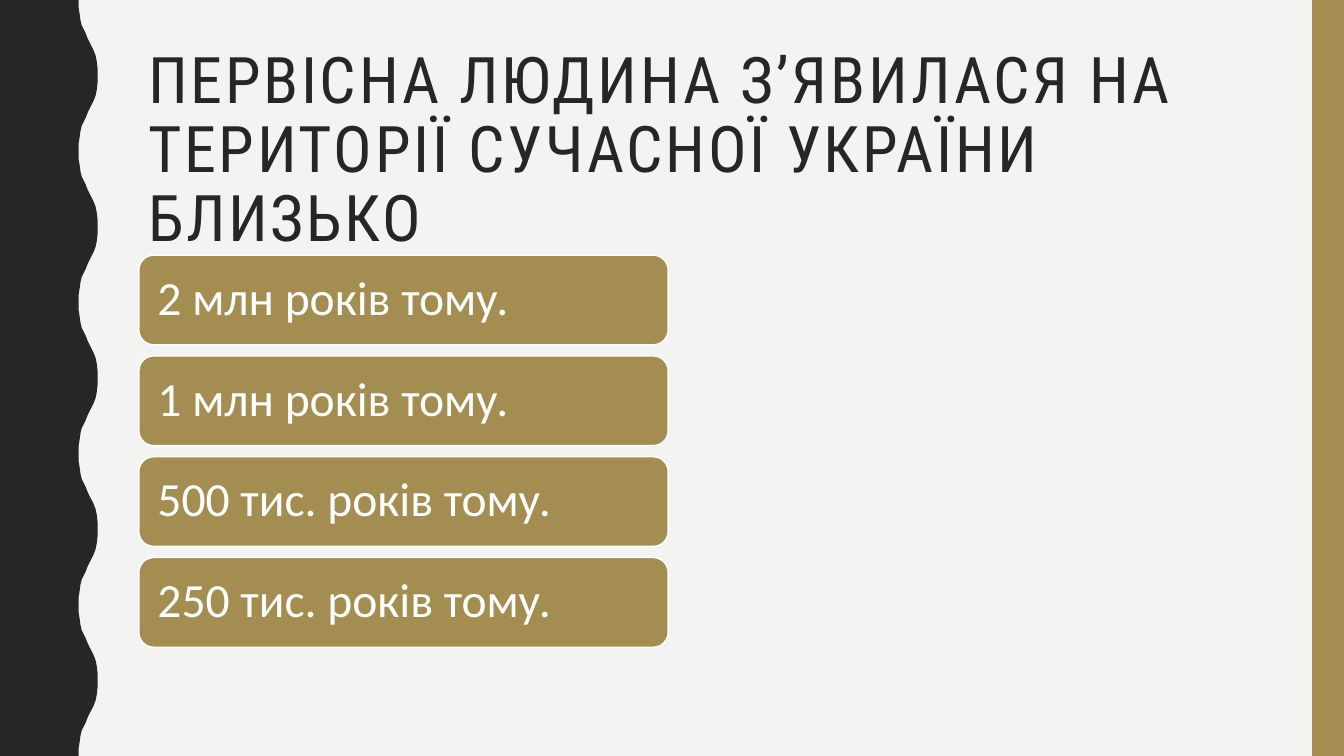
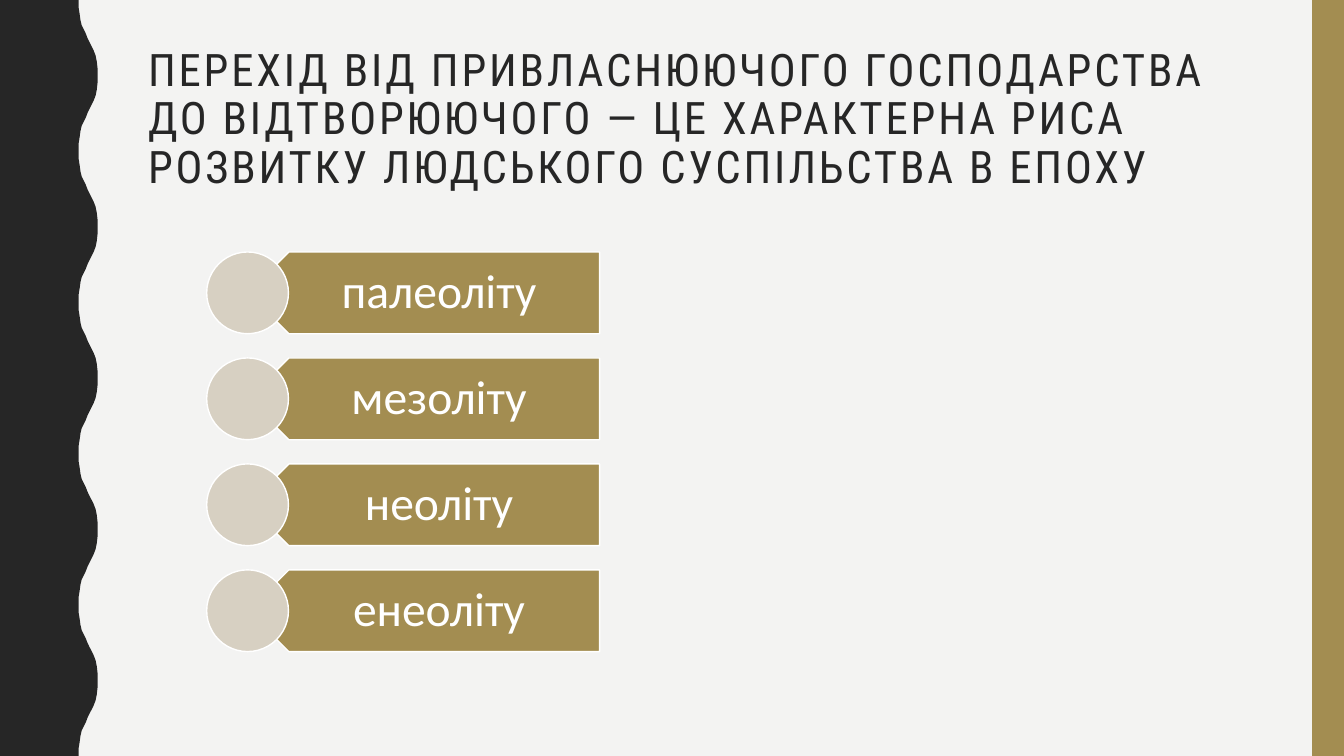
from pptx import Presentation
from pptx.dml.color import RGBColor
from pptx.enum.shapes import MSO_SHAPE
from pptx.enum.text import MSO_ANCHOR, MSO_AUTO_SIZE, PP_ALIGN
from pptx.util import Cm, Pt

# Shared style
DARK = RGBColor(0x26, 0x26, 0x26)
GOLD = RGBColor(0xA3, 0x8D, 0x51)
SAND = RGBColor(0xD7, 0xD0, 0xC2)
PAPER = RGBColor(0xF3, 0xF3, 0xF2)
WHITE = RGBColor(0xFF, 0xFF, 0xFF)
HEAD, BODY = "Roboto Condensed", "Calibri"
LEFT, CENTER = PP_ALIGN.LEFT, PP_ALIGN.CENTER
TOP, MIDDLE = MSO_ANCHOR.TOP, MSO_ANCHOR.MIDDLE
NO_FIT = MSO_AUTO_SIZE.NONE
RECT, ROUND = MSO_SHAPE.RECTANGLE, MSO_SHAPE.ROUNDED_RECTANGLE
ARROW, OVAL = MSO_SHAPE.PENTAGON, MSO_SHAPE.OVAL

WIDTH, HEIGHT = 33.87, 19.05
TITLE_ONLY = 5

# Half of one wave, in cm; the other half mirrors it
WAVE = 3.81
RISE = [(1.98, 0), (1.98, 0.18), (2.01, 0.36), (2.03, 0.51), (2.06, 0.64),
        (2.11, 0.74), (2.16, 0.84), (2.21, 0.97), (2.26, 1.07), (2.31, 1.17),
        (2.36, 1.27), (2.41, 1.4), (2.44, 1.55), (2.46, 1.73), (2.46, 1.91)]

# Content
AGES = ["2 млн років тому.", "1 млн років тому.",
        "500 тис. років тому.", "250 тис. років тому."]
ERAS = ["палеоліту", "мезоліту", "неоліту", "енеоліту"]


def write(frame, text, size=34, font=BODY, color=WHITE, align=LEFT,
          anchor=MIDDLE, pads=(0.36, 0.36, 0.36, 0.36), track=0):
    """Fill a text frame; pads are left, top, right, bottom in cm."""
    frame.word_wrap = True
    frame.auto_size = NO_FIT
    frame.vertical_anchor = anchor
    (frame.margin_left, frame.margin_top,
     frame.margin_right, frame.margin_bottom) = map(Cm, pads)
    para = frame.paragraphs[0]
    para.alignment = align
    para.line_spacing = 0.9
    run = para.add_run()
    run.text = text
    run.font.size = Pt(size)
    run.font.name = font
    run.font.color.rgb = color
    if track:
        run._r.get_or_add_rPr().set("spc", str(track * 100))


def paint(shape, fill, line=None):
    shape.shadow.inherit = False
    shape.fill.solid()
    shape.fill.fore_color.rgb = fill
    if line is None:
        shape.line.fill.background()
    else:
        shape.line.color.rgb = line
        shape.line.width = Pt(1)


def block(slide, kind, x, y, w, h, fill=GOLD, line=WHITE):
    shape = slide.shapes.add_shape(kind, Cm(x), Cm(y), Cm(w), Cm(h))
    paint(shape, fill, line)
    return shape


def bands(slide):
    """Wavy dark band on the left, gold strip on the right."""
    cycle = RISE + [(x, WAVE - y) for x, y in reversed(RISE[:-1])]
    edge = [(Cm(x), Cm(y + WAVE * turn))
            for turn in range(5) for x, y in cycle]
    pen = slide.shapes.build_freeform(0, 0)
    pen.add_line_segments(edge + [(0, Cm(HEIGHT))], close=True)
    paint(pen.convert_to_shape(), DARK)
    block(slide, RECT, 33.07, 0, 0.8, HEIGHT, line=None)


def start(deck, title, size):
    """Add a slide with the bands and its title."""
    slide = deck.slides.add_slide(deck.slide_layouts[TITLE_ONLY])
    bands(slide)
    head = slide.shapes.title
    head.left, head.top = Cm(3.48), Cm(1.07)
    head.width, head.height = Cm(28.27), Cm(4.14)
    write(head.text_frame, title, size=size, font=HEAD, color=DARK,
          anchor=TOP, pads=(0.25, 0.13, 0.25, 0.13), track=2)
    return slide


def cards(slide, items):
    for row, item in enumerate(items):
        card = block(slide, ROUND, 3.5, 6.43 + 2.54 * row, 13.34, 2.26)
        write(card.text_frame, item)


def arrows(slide, items):
    """Left-pointing labels, each with a disc over its tip."""
    size = 2.06
    for row, item in enumerate(items):
        y = 6.35 + 2.67 * row
        block(slide, ARROW, 6.25, y, 8.86, size).rotation = 180
        label = slide.shapes.add_textbox(Cm(6.76), Cm(y), Cm(8.36), Cm(size))
        write(label.text_frame, item, align=CENTER,
              pads=(0.91, 0.36, 0.66, 0.36))
        block(slide, OVAL, 5.21, y, size, size, fill=SAND)


def main():
    deck = Presentation()
    deck.slide_width, deck.slide_height = Cm(WIDTH), Cm(HEIGHT)
    back = deck.slide_master.background.fill
    back.solid()
    back.fore_color.rgb = PAPER

    # Slide 1: first humans
    cards(start(deck, "ПЕРВІСНА ЛЮДИНА З’ЯВИЛАСЯ НА ТЕРИТОРІЇ "
                      "СУЧАСНОЇ УКРАЇНИ БЛИЗЬКО", 45.9), AGES)

    # Slide 2: change of economy
    arrows(start(deck, "ПЕРЕХІД ВІД ПРИВЛАСНЮЮЧОГО ГОСПОДАРСТВА ДО "
                       "ВІДТВОРЮЮЧОГО — ЦЕ ХАРАКТЕРНА РИСА РОЗВИТКУ "
                       "ЛЮДСЬКОГО СУСПІЛЬСТВА В ЕПОХУ", 32), ERAS)

    deck.save("out.pptx")


if __name__ == "__main__":
    main()
